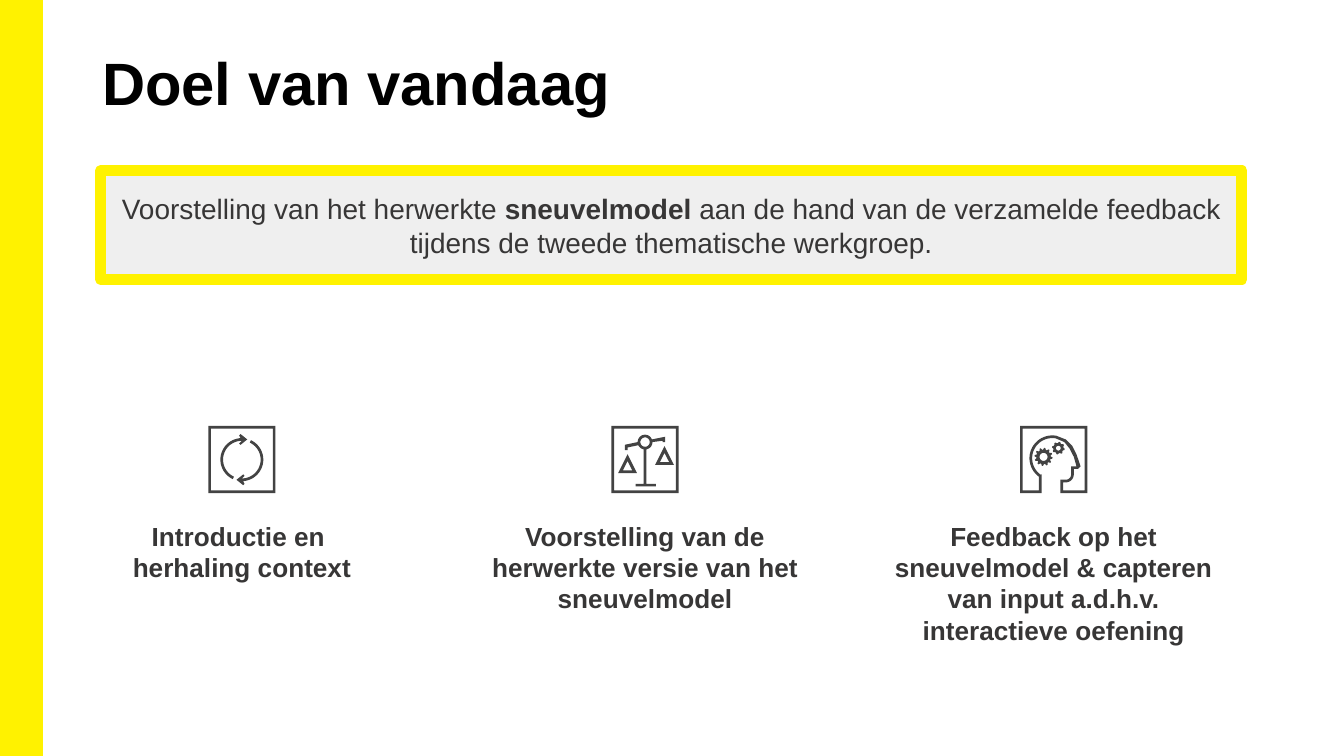
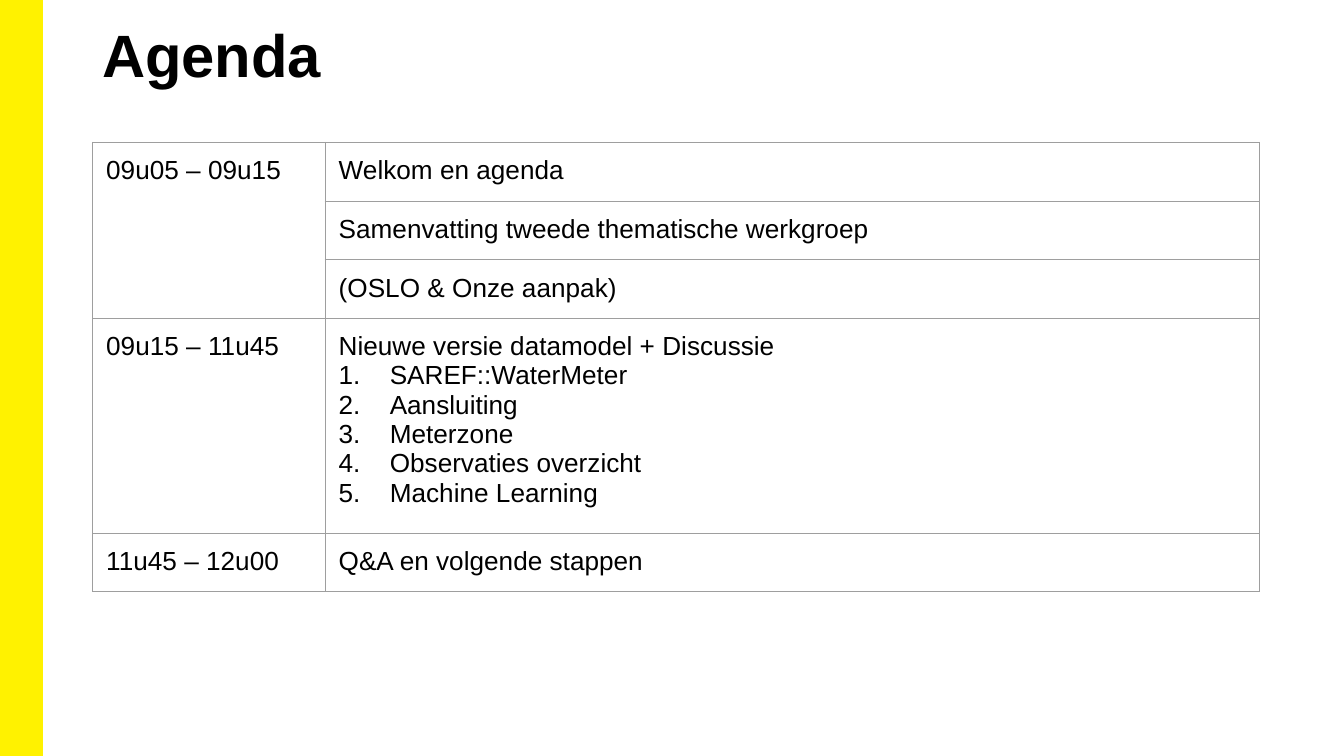
import math

from lxml import etree
from pptx import Presentation
from pptx import util as u
from pptx.dml.color import RGBColor
from pptx.enum import shapes, text
from pptx.oxml import ns

YELLOW = RGBColor(0xFF, 0xF2, 0x00)
PALE = RGBColor(0xEF, 0xEF, 0xEF)
INK = RGBColor(0x37, 0x36, 0x36)
ICON = RGBColor(0x43, 0x43, 0x43)
BLACK = RGBColor(0, 0, 0)
BORDER = RGBColor(0x9E, 0x9E, 0x9E)
FONT = "Arial"
WIDTH = 10
HEIGHT = WIDTH * 9 / 16
MARGIN = 0.69
ICON_SIZE, ICON_TOP, LABEL_TOP = 0.5, 3.17, 3.82

GOAL = [
    ("Voorstelling van het herwerkte ", False),
    ("sneuvelmodel ", True),
    ("aan de hand van de verzamelde feedback tijdens de tweede thematische werkgroep.", False),
]
STEPS = [
    ("cycle", 1.8, 2.72, "Introductie en \nherhaling context"),
    ("scales", 4.8, 2.8, "Voorstelling van de herwerkte versie van het sneuvelmodel"),
    ("head", 7.84, 2.8,
     "Feedback op het sneuvelmodel & capteren van input a.d.h.v. interactieve oefening"),
]
AGENDA = [
    ("09u05 – 09u15", ["Welkom en agenda"], 0.44),
    ("", ["Samenvatting tweede thematische werkgroep"], 0.41),
    ("", ["(OSLO & Onze aanpak)"], 0.41),
    ("09u15 – 11u45", ["Nieuwe versie datamodel + Discussie", "SAREF::WaterMeter", "Aansluiting",
                       "Meterzone", "Observaties overzicht", "Machine Learning"], 0.44),
    ("11u45 – 12u00", ["Q&A en volgende stappen"], 0.39),
]
AGENDA_COLUMNS = [1.73, 6.95]


def arc(x, y, radius, start, end, steps=24):
    angles = [math.radians(start + (end - start) * i / steps) for i in range(steps + 1)]
    return [(x + radius * math.cos(a), y + radius * math.sin(a)) for a in angles]


def box(left, top, right, bottom):
    return [(left, top), (right, top), (right, bottom), (left, bottom)]


def gear(x, y, radius, hole, teeth):
    rim = []
    for i in range(teeth * 4):
        angle = math.tau * (i + 0.5) / (teeth * 4)
        reach = radius if i % 4 < 2 else radius * 0.8
        rim.append((x + reach * math.cos(angle), y + reach * math.sin(angle)))
    return [rim, arc(x, y, hole, 0, 360)]


def icon_parts():
    frame = [box(0, 0, 50, 50), box(2, 2, 48, 48)]
    arrow = (arc(25, 25, 14, 115, 270)
             + [(23, 13), (24, 14), (29, 10), (24, 6), (23, 7), (24, 9)]
             + arc(25, 25, 16, 270, 115))
    turned = [(50 - x, 50 - y) for x, y in arrow]
    beam = ([(12, 16), (20, 14.3)] + arc(25, 12, 5.5, 155, 100)
            + [(24, 43), (18, 43), (18, 45), (33, 45), (33, 43), (26, 43)]
            + arc(25, 12, 5.5, 80, 0)
            + [(38, 11), (38, 12), (40, 12), (40, 8), (30, 10)]
            + arc(25, 12, 5.5, -20, -180) + [(10, 14), (10, 18), (12, 18)])
    pans = []
    for x, y in [(12, 21), (39.5, 15)]:
        pans += [[(x, y), (x - 7, y + 14), (x + 7, y + 14)],
                 [(x, y + 5), (x - 3.5, y + 12), (x + 3.5, y + 12)]]
    outside = ([(0, 0), (0, 50), (16, 50), (16, 36)] + arc(24, 24, 15, 125, 280)
               + [(33, 12), (37, 17), (40, 23), (42, 30), (38, 30)]
               + arc(34, 36, 4, 0, 90) + [(30, 40), (30, 50), (50, 50), (50, 0)])
    inside = ([(2, 2), (2, 48), (14, 48), (14, 38)] + arc(24, 24, 17, 125, 280)
              + [(34, 10), (39, 15), (42, 21), (45, 30), (43, 32), (40, 32)]
              + arc(34, 36, 6, 0, 90) + [(32, 42), (32, 48), (48, 48), (48, 2)])
    return {
        "cycle": [frame, [arrow], [turned]],
        "scales": [frame + pans + [beam, arc(25, 12, 3.5, 0, 360)]],
        "head": [[outside, inside], gear(17.5, 23, 6.7, 3, 12), gear(28.5, 16.5, 4.7, 1.8, 8)],
    }


def write(frame, paragraphs, size=14, color=INK, bold=False, align=None, numbered_from=None):
    for index, content in enumerate(paragraphs):
        paragraph = frame.paragraphs[0] if index == 0 else frame.add_paragraph()
        if numbered_from is not None and index >= numbered_from:
            properties = paragraph._p.get_or_add_pPr()
            properties.set("marL", str(u.Inches(0.38)))
            properties.set("indent", str(-u.Inches(0.38)))
            etree.SubElement(properties, ns.qn("a:buAutoNum"), type="arabicPeriod")
        paragraph.alignment = align
        runs = [(content, bold)] if isinstance(content, str) else content
        for words, heavy in runs:
            for number, line in enumerate(words.split("\n")):
                if number:
                    paragraph.add_line_break()
                run = paragraph.add_run()
                run.text = line
                run.font.name, run.font.size = FONT, u.Pt(size)
                run.font.bold, run.font.color.rgb = heavy, color


def set_margins(target, across, down):
    target.margin_left = target.margin_right = u.Inches(across)
    target.margin_top = target.margin_bottom = u.Inches(down)


def add_text(slide, place, paragraphs, margins=(0.1, 0.05), **style):
    frame = slide.shapes.add_textbox(*map(u.Inches, place)).text_frame
    frame.word_wrap = True
    set_margins(frame, *margins)
    write(frame, paragraphs, **style)


def add_box(slide, place, fill, line_width):
    shape = slide.shapes.add_shape(shapes.MSO_SHAPE.RECTANGLE, *map(u.Inches, place))
    shape.shadow.inherit = False
    shape.fill.solid()
    shape.fill.fore_color.rgb = fill
    shape.line.color.rgb = YELLOW
    shape.line.width = u.Pt(line_width)
    return shape


def add_outline(slide, left, top, contours):
    whole = [[(round(x * 100), round(y * 100)) for x, y in contour] for contour in contours]
    builder = slide.shapes.build_freeform(*whole[0][0], scale=u.Inches(1) / 10000)
    for index, contour in enumerate(whole):
        if index:
            builder.move_to(*contour[0])
        builder.add_line_segments(contour[1:], close=True)
    shape = builder.convert_to_shape(u.Inches(left), u.Inches(top))
    shape.shadow.inherit = False
    shape.fill.solid()
    shape.fill.fore_color.rgb = ICON
    shape.line.fill.background()


def add_slide(presentation, title, title_top):
    slide = presentation.slides.add_slide(presentation.slide_layouts[6])
    add_box(slide, (0, 0, 0.31, HEIGHT), YELLOW, 1)
    add_text(slide, (MARGIN, title_top, 8.62, 0.81), [title], margins=(0.07, 0.04),
             size=32, color=BLACK, bold=True)
    return slide


def add_borders(cell):
    properties = cell._tc.get_or_add_tcPr()
    for index, side in enumerate(["lnL", "lnR", "lnT", "lnB"]):
        line = etree.Element(ns.qn(f"a:{side}"), w=str(u.Pt(0.75)))
        fill = etree.SubElement(line, ns.qn("a:solidFill"))
        etree.SubElement(fill, ns.qn("a:srgbClr"), val=str(BORDER))
        properties.insert(index, line)


def build_goal(presentation):
    slide = add_slide(presentation, "Doel van vandaag", 0.3)
    frame = add_box(slide, (0.75, 1.27, 8.49, 0.81), PALE, 6).text_frame
    frame.word_wrap = True
    frame.vertical_anchor = text.MSO_ANCHOR.MIDDLE
    set_margins(frame, 0.1, 0.05)
    write(frame, [GOAL], size=15, align=text.PP_ALIGN.CENTER)
    parts = icon_parts()
    for icon, center, width, label in STEPS:
        add_text(slide, (center - width / 2, LABEL_TOP, width, 1.28), [label], bold=True,
                 align=text.PP_ALIGN.CENTER)
        for contours in parts[icon]:
            add_outline(slide, center - ICON_SIZE / 2, ICON_TOP, contours)


def build_agenda(presentation):
    slide = add_slide(presentation, "Agenda", 0.09)
    heights = [row[2] for row in AGENDA]
    place = (MARGIN, 1.06, sum(AGENDA_COLUMNS), sum(heights))
    table = slide.shapes.add_table(len(AGENDA), 2, *map(u.Inches, place)).table
    table.first_row = table.horz_banding = False
    for column, width in zip(table.columns, AGENDA_COLUMNS):
        column.width = u.Inches(width)
    for index, (time, topics, height) in enumerate(AGENDA):
        table.rows[index].height = u.Inches(height)
        for cell, lines in zip(table.rows[index].cells, ([time], topics)):
            set_margins(cell, 0.1, 0.1)
            cell.fill.background()
            add_borders(cell)
            if lines[0]:
                write(cell.text_frame, lines, color=BLACK, numbered_from=1)
    table.cell(0, 0).merge(table.cell(2, 0))


def main():
    presentation = Presentation()
    presentation.slide_width = u.Inches(WIDTH)
    presentation.slide_height = u.Inches(HEIGHT)
    build_goal(presentation)
    build_agenda(presentation)
    presentation.save("out.pptx")


if __name__ == "__main__":
    main()
